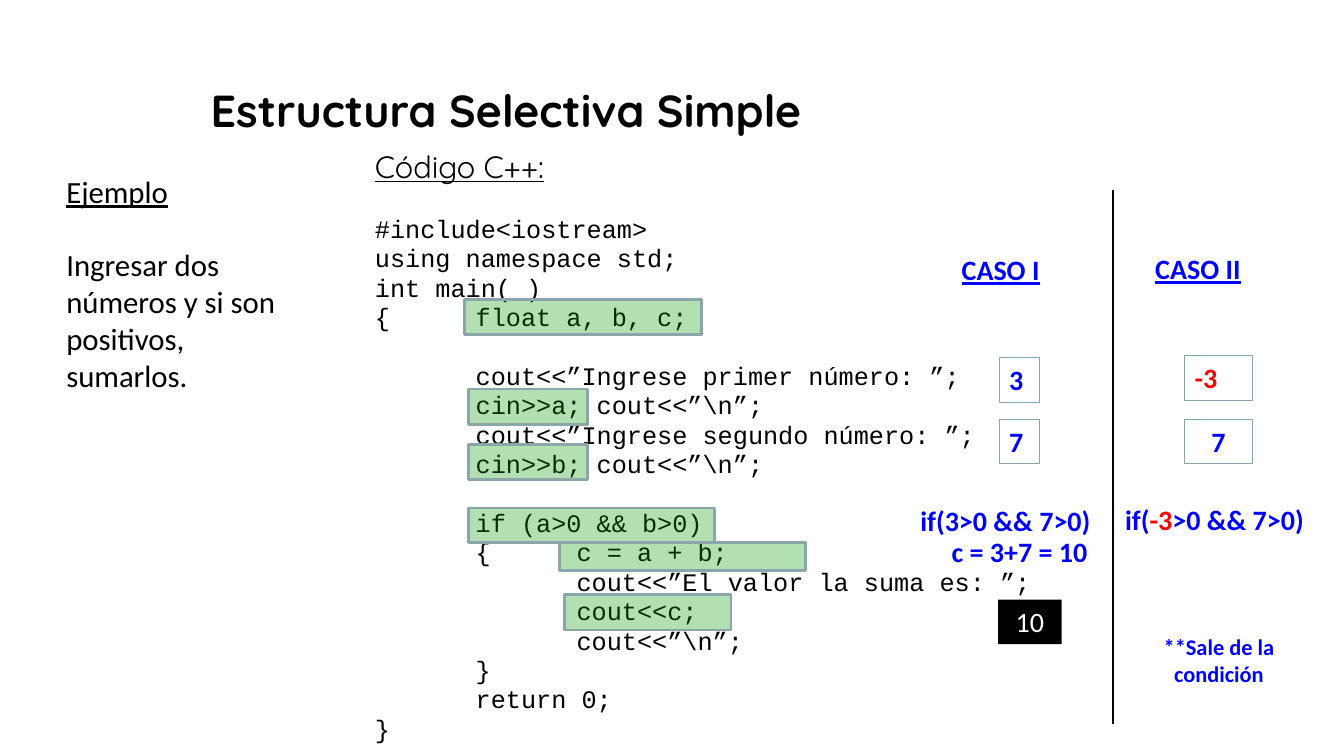
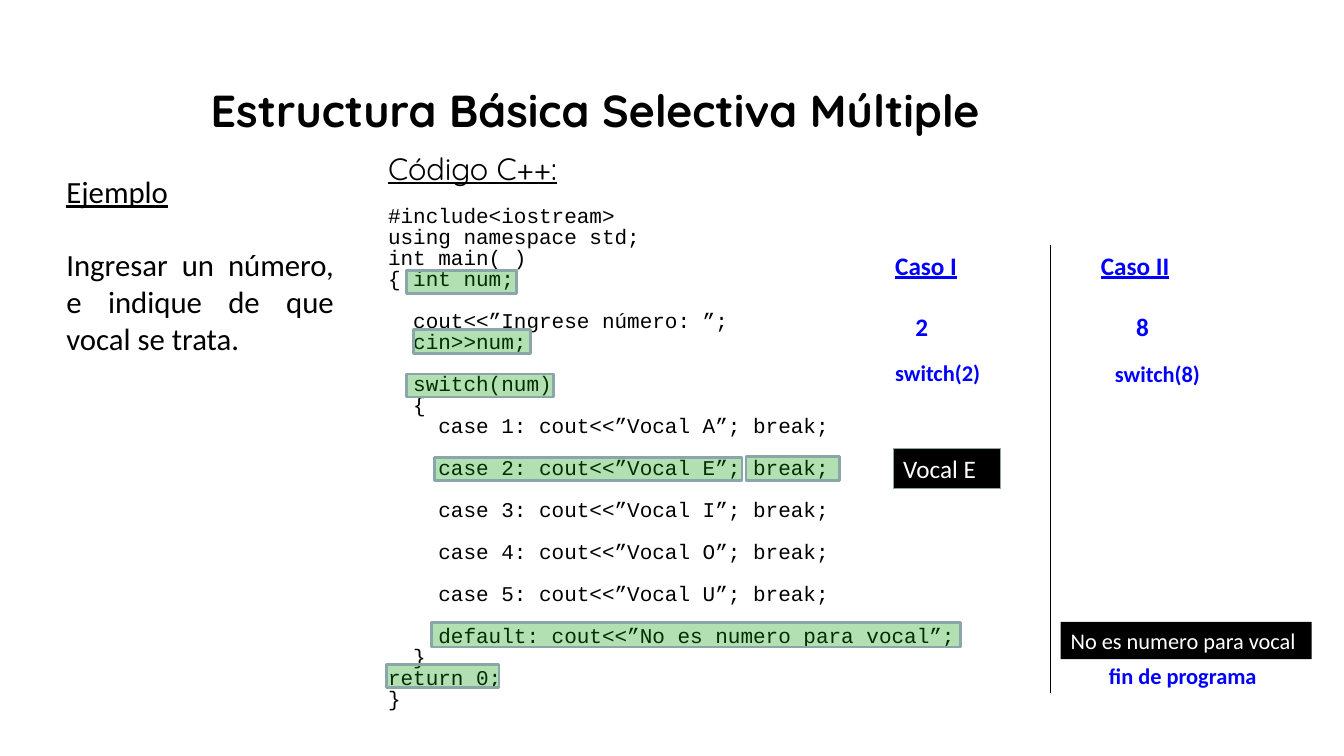
"""Builds two slides that trace C++ selection examples case by case."""
from lxml import etree
from pptx import Presentation
from pptx import util as u
from pptx.dml.color import RGBColor
from pptx.enum import shapes, text
from pptx.oxml.ns import qn

BLACK = RGBColor(0x00, 0x00, 0x00)
WHITE = RGBColor(0xFF, 0xFF, 0xFF)
BLUE = RGBColor(0x00, 0x00, 0xFF)
RED = RGBColor(0xFF, 0x00, 0x00)
GREEN = RGBColor(0x00, 0x99, 0x00)
EDGE = RGBColor(0x8A, 0xA6, 0xA8)

CENTER = text.PP_ALIGN.CENTER
JUSTIFY = text.PP_ALIGN.JUSTIFY

BIG = dict(size=20, color=BLUE, bold=True)
HEAD = dict(BIG, underline=True)
MEDIUM = dict(BIG, size=18, wrap=False)
SMALL = dict(BIG, size=16, wrap=False)
VALUE = dict(BIG, edge=EDGE)
CONSOLE = dict(color=WHITE, fill=BLACK)

SIMPLE_CODE = """#include<iostream>
using namespace std;
int main( )
{\tfloat a, b, c;

\tcout<<”Ingrese primer número: ”;
\tcin>>a; cout<<”\\n”;
\tcout<<”Ingrese segundo número: ”;
\tcin>>b; cout<<”\\n”;

\tif (a>0 && b>0)
\t{\tc = a + b;
\t\tcout<<”El valor la suma es: ”;
\t\tcout<<c;
\t\tcout<<”\\n”;
\t}
\treturn 0;
}"""

MULTIPLE_CODE = """#include<iostream>
using namespace std;
int main( )
{ int num;

  cout<<”Ingrese número: ”;
  cin>>num;

  switch(num)
  {
    case 1: cout<<”Vocal A”; break;

    case 2: cout<<”Vocal E”; break;

    case 3: cout<<”Vocal I”; break;

    case 4: cout<<”Vocal O”; break;

    case 5: cout<<”Vocal U”; break;

    default: cout<<”No es numero para vocal”;
  }
return 0;
}"""

SLIDES = [
    dict(
        title="Estructura Selectiva Simple",
        task="Ingresar dos números y si son positivos, sumarlos.",
        task_box=(0.56, 1.66, 2.63, 2.32), task_align=None,
        code=SIMPLE_CODE, code_box=(3.62, 1.49, 6.78, 5.94),
        code_size=18, pitch=21,
        divider=(11.04, 1.89, 7.18),
        highlights=[
            (4.61, 2.97, 2.35, 0.35), (4.65, 3.86, 1.18, 0.35),
            (4.65, 4.41, 1.18, 0.35), (4.65, 5.04, 2.44, 0.34),
            (5.55, 5.38, 2.44, 0.28), (5.6, 5.9, 1.65, 0.35),
        ],
        trace=[
            ("CASO I", (9.44, 2.46, 1.36, 0.44), HEAD),
            ("3", (9.91, 3.55, 0.4, 0.44), VALUE),
            ("7", (9.91, 4.16, 0.4, 0.44), VALUE),
            ("if(3>0 && 7>0)", (9.03, 4.95, 2.17, 0.44), BIG),
            ("c = 3+7 = 10", (9.34, 5.25, 2.17, 0.44), BIG),
            ("10", (9.9, 5.95, 0.63, 0.44), dict(CONSOLE, size=20, align=CENTER)),
            ("CASO II", (11.36, 2.45, 1.36, 0.44), HEAD),
            ("-3", (11.75, 3.53, 0.67, 0.44), dict(VALUE, color=RED)),
            ("7", (11.75, 4.16, 0.67, 0.44), dict(VALUE, align=CENTER)),
            ([("if(", BLUE), ("-3", RED), (">0 && 7>0)", BLUE)],
             (11.06, 4.94, 2.35, 0.44), BIG),
            ("**Sale de la condición", (11.23, 6.23, 1.72, 0.64),
             dict(BIG, size=16, align=CENTER)),
        ],
    ),
    dict(
        title="Estructura Básica Selectiva Múltiple",
        task="Ingresar un número, e indique de que vocal se trata.",
        task_box=(0.56, 1.66, 2.85, 1.97), task_align=JUSTIFY,
        code=MULTIPLE_CODE, code_box=(3.75, 1.59, 6.29, 5.6),
        code_size=15, pitch=15,
        divider=(10.42, 2.43, 6.88),
        highlights=[
            (4.03, 2.68, 1.09, 0.23), (4.1, 3.27, 1.16, 0.24),
            (4.03, 3.71, 1.46, 0.23), (4.31, 4.54, 3.05, 0.23),
            (7.4, 4.53, 0.93, 0.24), (4.28, 6.18, 5.25, 0.24),
            (3.83, 6.59, 1.12, 0.23),
        ],
        trace=[
            ("Caso I", (8.78, 2.43, 0.82, 0.4), dict(MEDIUM, underline=True)),
            ("2", (8.98, 3.04, 0.34, 0.4), MEDIUM),
            ("switch(2)", (8.78, 3.51, 1.06, 0.37), SMALL),
            ("Vocal E", (8.86, 4.45, 1.06, 0.4), dict(CONSOLE, size=18, edge=EDGE)),
            ("Caso II", (10.82, 2.43, 0.89, 0.4), dict(MEDIUM, underline=True)),
            ("8", (11.17, 3.04, 0.34, 0.4), MEDIUM),
            ("switch(8)", (10.96, 3.52, 1.06, 0.37), SMALL),
            ("No es numero para vocal", (10.52, 6.17, 2.49, 0.37),
             dict(CONSOLE, size=16)),
            ("fin de programa", (10.9, 6.52, 1.7, 0.37), SMALL),
        ],
    ),
]


def write(p, content, size=18, font="Calibri", color=BLACK, bold=False,
          underline=False, align=None, spacing=None, before=None, tabs=0):
    """Fill a paragraph with a string or with (text, colour) pairs."""
    if tabs:
        stops = etree.SubElement(p._p.get_or_add_pPr(), qn("a:tabLst"))
        for inch in range(1, tabs + 1):
            etree.SubElement(stops, qn("a:tab"), pos=str(u.Inches(inch)), algn="l")
    p.alignment = align
    if spacing:
        p.line_spacing = spacing
    if before:
        p.space_before = u.Pt(before)
    for words, tint in [(content, color)] if isinstance(content, str) else content:
        r = p.add_run()
        r.text = words
        r.font.size, r.font.name = u.Pt(size), font
        r.font.bold, r.font.underline = bold, underline
        r.font.color.rgb = tint


def add_box(slide, box):
    """Add a wrapping text box and return its text frame."""
    tf = slide.shapes.add_textbox(*map(u.Inches, box)).text_frame
    tf.word_wrap = True
    return tf


def add_rect(slide, box, fill=None, edge=None, width=0.75):
    """Add a flat rectangle with an optional fill and outline."""
    sp = slide.shapes.add_shape(shapes.MSO_SHAPE.RECTANGLE, *map(u.Inches, box))
    sp.shadow.inherit = False
    for part, color in ((sp.fill, fill), (sp.line.fill, edge)):
        if color is None:
            part.background()
        else:
            part.solid()
            part.fore_color.rgb = color
    if edge is not None:
        sp.line.width = u.Pt(width)
    return sp


def add_highlight(slide, box):
    """Lay a translucent green marker over a piece of code."""
    sp = add_rect(slide, box, GREEN, EDGE, 2)
    tint = sp._element.spPr.find(qn("a:solidFill")).find(qn("a:srgbClr"))
    etree.SubElement(tint, qn("a:alpha"), val="30000")


def add_trace(slide, content, box, fill=None, edge=None, wrap=True, **style):
    """Add one step of a case, framed if it has a fill or an edge."""
    framed = fill is not None or edge is not None
    tf = add_rect(slide, box, fill, edge).text_frame if framed else add_box(slide, box)
    tf.word_wrap = wrap
    tf.vertical_anchor = text.MSO_ANCHOR.TOP
    style.setdefault("align", text.PP_ALIGN.LEFT)
    write(tf.paragraphs[0], content, **style)


def add_code(slide, code, box, size, pitch):
    """Add the code heading and listing on a fixed line pitch."""
    tf = add_box(slide, box)
    write(tf.paragraphs[0], "Código C++:", size=22, font="Quicksand",
          underline=True, spacing=u.Pt(pitch))
    gap = pitch
    for line in code.split("\n"):
        if not line:
            gap = pitch
            continue
        write(tf.add_paragraph(), line, size=size, font="Courier New",
              spacing=u.Pt(pitch), before=gap, tabs=2)
        gap = None


def add_divider(slide, x, top, bottom):
    """Add the vertical line between both cases."""
    ln = slide.shapes.add_connector(shapes.MSO_CONNECTOR.STRAIGHT,
                                    *map(u.Inches, (x, top, x, bottom)))
    ln.line.color.rgb = BLACK
    ln.line.width = u.Pt(1.25)
    etree.SubElement(ln._element.spPr, qn("a:effectLst"))


def build_slide(prs, data):
    """Build one example slide from its data."""
    slide = prs.slides.add_slide(prs.slide_layouts[6])
    tf = add_box(slide, (1.99, 0.4, 10.43, 1.45))
    tf.vertical_anchor = text.MSO_ANCHOR.MIDDLE
    write(tf.paragraphs[0], data["title"], size=32, font="Quicksand",
          bold=True, spacing=0.9)
    tf = add_box(slide, data["task_box"])
    write(tf.paragraphs[0], "Ejemplo", size=22, underline=True)
    write(tf.add_paragraph(), data["task"], size=22, before=26,
          align=data["task_align"])
    add_code(slide, data["code"], data["code_box"], data["code_size"], data["pitch"])
    for box in data["highlights"]:
        add_highlight(slide, box)
    for content, box, style in data["trace"]:
        add_trace(slide, content, box, **style)
    add_divider(slide, *data["divider"])


def main():
    """Build and save the presentation."""
    prs = Presentation()
    prs.slide_width, prs.slide_height = u.Inches(13.33), u.Inches(7.5)
    for data in SLIDES:
        build_slide(prs, data)
    prs.save("out.pptx")


if __name__ == "__main__":
    main()
